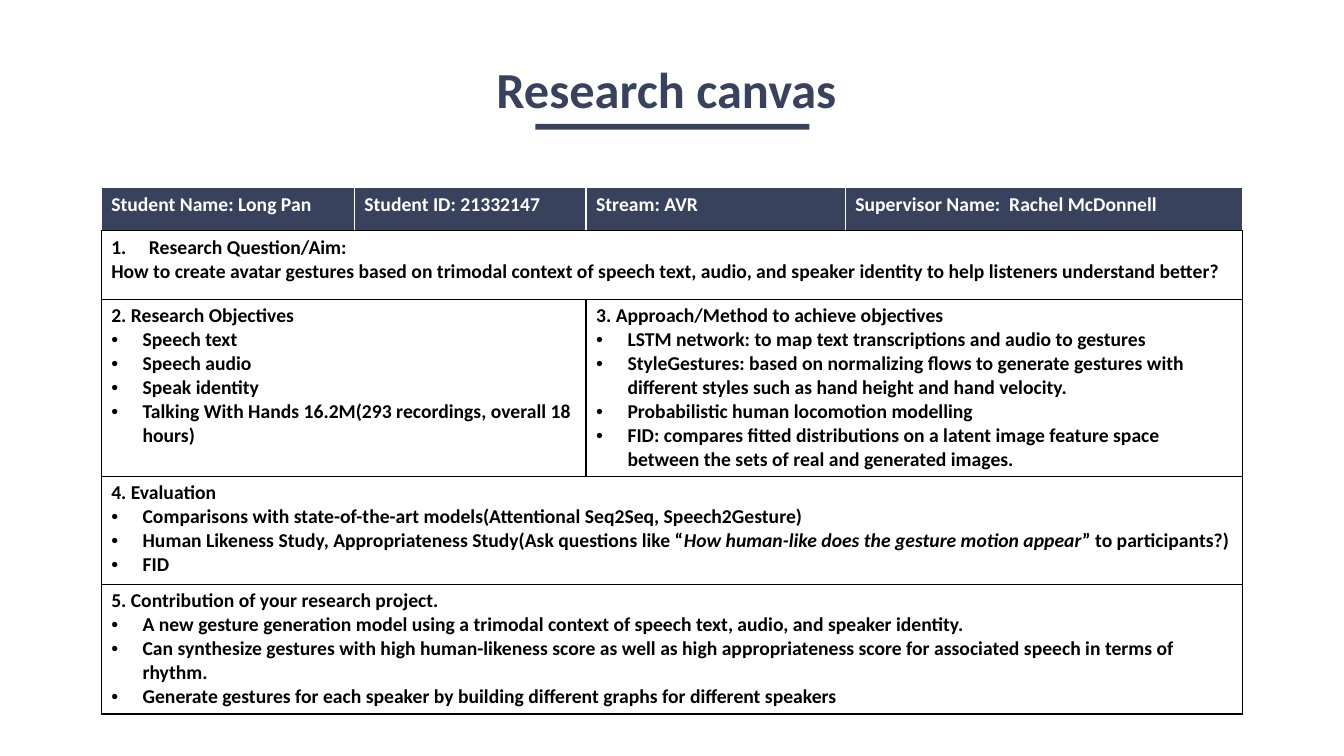
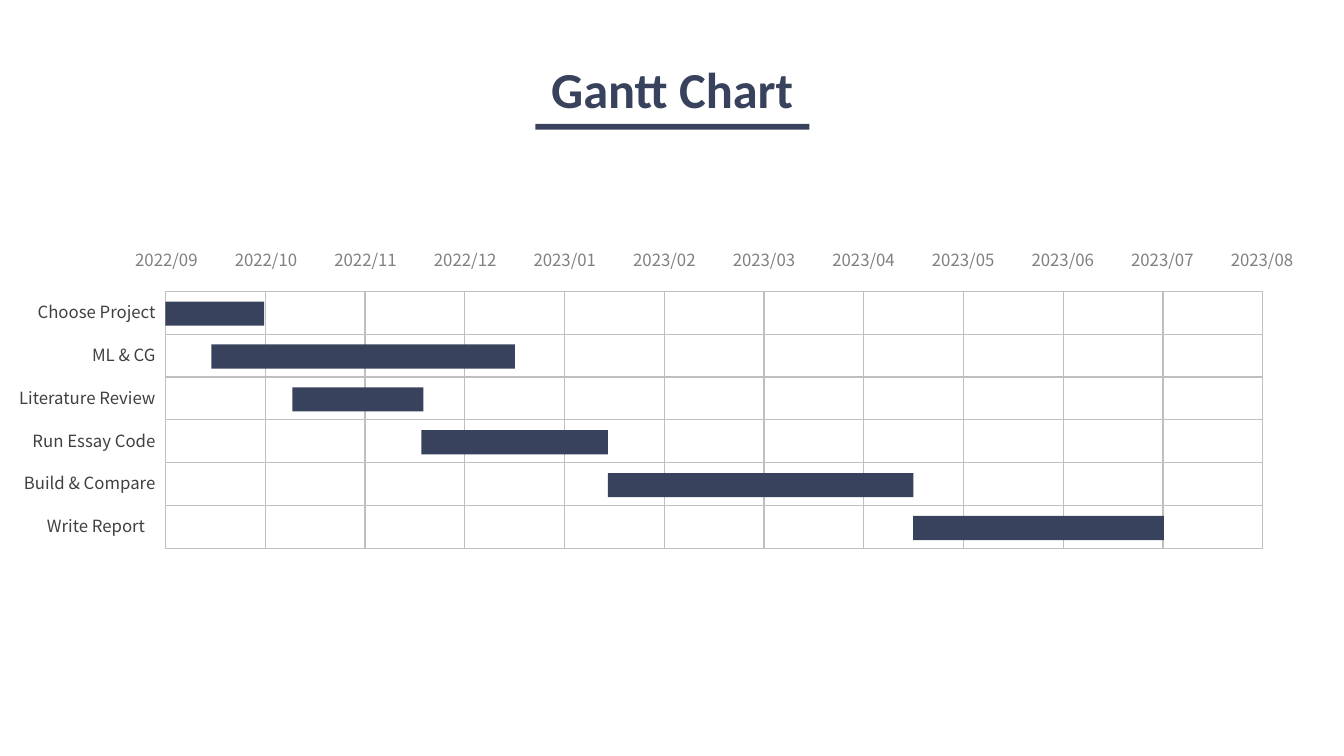
"""Build a research canvas slide and a Gantt chart slide."""
from dataclasses import dataclass
from typing import Optional

from lxml import etree
from pptx import Presentation
from pptx.dml.color import RGBColor
from pptx.enum.shapes import MSO_SHAPE
from pptx.enum.text import PP_ALIGN
from pptx.oxml.ns import qn
from pptx.slide import Slide
from pptx.table import Table, _Cell
from pptx.text.text import _Paragraph
from pptx.util import Cm, Pt

RECTANGLE = MSO_SHAPE.RECTANGLE
LEFT, CENTER, RIGHT = PP_ALIGN.LEFT, PP_ALIGN.CENTER, PP_ALIGN.RIGHT


@dataclass(frozen=True)
class TextStyle:
    font: str
    size: int
    color: str
    bold: bool = False


@dataclass(frozen=True)
class Theme:
    navy: str = "39425D"
    white: str = "FFFFFF"
    black: str = "000000"
    grid: str = "BFBFBF"
    title: TextStyle = TextStyle("Calibri", 36, "39425D", True)
    header: TextStyle = TextStyle("Calibri", 14, "FFFFFF", True)
    body: TextStyle = TextStyle("Calibri", 14, "000000", True)
    task: TextStyle = TextStyle("Noto Sans CJK SC", 12, "404040")
    month: TextStyle = TextStyle("Noto Sans CJK SC", 12, "808080")


@dataclass(frozen=True)
class Box:
    left: float
    top: float
    width: float
    height: float


@dataclass(frozen=True)
class Line:
    text: str
    marker: str = ""
    italic: str = ""
    tail: str = ""


@dataclass(frozen=True)
class Section:
    row: int
    first_column: int
    last_column: int
    lines: tuple[Line, ...]


@dataclass(frozen=True)
class Task:
    name: str
    start: float
    length: float
    label_right: float = 4.17


THEME = Theme()
BULLET, NUMBER = "•", "1."
INDENTS = {BULLET: 0.79, NUMBER: 0.95}

CANVAS_COLUMNS = (6.38, 5.84, 6.53, 10.01)
CANVAS_ROWS = (1.08, 1.73, 4.46, 2.72, 3.27)
CANVAS_HEADERS = (
    "Student Name: Long Pan",
    "Student ID: 21332147",
    "Stream: AVR",
    "Supervisor Name:  Rachel McDonnell",
)
SECTIONS = (
    Section(1, 0, 3, (
        Line("Research Question/Aim:", NUMBER),
        Line("How to create avatar gestures based on trimodal context of speech text, audio, "
             "and speaker identity to help listeners understand better?"),
    )),
    Section(2, 0, 1, (
        Line("2. Research Objectives"),
        Line("Speech text", BULLET),
        Line("Speech audio", BULLET),
        Line("Speak identity", BULLET),
        Line("Talking With Hands 16.2M(293 recordings, overall 18 hours)", BULLET),
    )),
    Section(2, 2, 3, (
        Line("3. Approach/Method to achieve objectives"),
        Line("LSTM network: to map text transcriptions and audio to gestures", BULLET),
        Line("StyleGestures: based on normalizing flows to generate gestures with different "
             "styles such as hand height and hand velocity.", BULLET),
        Line("Probabilistic human locomotion modelling", BULLET),
        Line("FID: compares fitted distributions on a latent image feature space between "
             "the sets of real and generated images.", BULLET),
    )),
    Section(3, 0, 3, (
        Line("4. Evaluation"),
        Line("Comparisons with state-of-the-art models(Attentional Seq2Seq, Speech2Gesture)",
             BULLET),
        Line("Human Likeness Study, Appropriateness Study(Ask questions like “", BULLET,
             "How human-like does the gesture motion appear", "” to participants?)"),
        Line("FID", BULLET),
    )),
    Section(4, 0, 3, (
        Line("5. Contribution of your research project."),
        Line("A new gesture generation model using a trimodal context of speech text, audio, "
             "and speaker identity.", BULLET),
        Line("Can synthesize gestures with high human-likeness score as well as high "
             "appropriateness score for associated speech in terms of rhythm.", BULLET),
        Line("Generate gestures for each speaker by building different graphs for different "
             "speakers", BULLET),
    )),
)

GANTT_LEFT, GANTT_TOP = 4.17, 7.34
GANTT_WIDTH, GANTT_ROW = 27.66, 1.08
MONTH_LEFT, MONTH_STEP = 2.94, 2.51
FIRST_YEAR, FIRST_MONTH, MONTH_COUNT = 2022, 9, 12
TASKS = (
    Task("Choose Project", 4.17, 2.49),
    Task("ML & CG", 5.33, 7.65),
    Task("Literature Review", 7.37, 3.3),
    Task("Run Essay Code", 10.62, 4.7),
    Task("Build & Compare", 15.32, 7.7),
    Task("Write Report", 23.01, 6.32, 3.91),
)


def style_paragraph(paragraph: _Paragraph, style: TextStyle, alignment: PP_ALIGN = LEFT) -> None:
    paragraph.alignment = alignment
    font = paragraph.font
    font.name = style.font
    font.size = Pt(style.size)
    font.bold = style.bold
    font.color.rgb = RGBColor.from_string(style.color)


def add_text(slide: Slide, box: Box, text: str, style: TextStyle, alignment: PP_ALIGN) -> None:
    shape = slide.shapes.add_textbox(Cm(box.left), Cm(box.top), Cm(box.width), Cm(box.height))
    shape.text_frame.word_wrap = True
    paragraph = shape.text_frame.paragraphs[0]
    paragraph.text = text
    style_paragraph(paragraph, style, alignment)


def add_bar(slide: Slide, box: Box) -> None:
    shape = slide.shapes.add_shape(
        RECTANGLE, Cm(box.left), Cm(box.top), Cm(box.width), Cm(box.height))
    shape.shadow.inherit = False
    shape.fill.solid()
    shape.fill.fore_color.rgb = RGBColor.from_string(THEME.navy)
    shape.line.fill.background()


def add_title(slide: Slide, text: str) -> None:
    add_bar(slide, Box(13.49, 3.12, 6.91, 0.15))
    add_text(slide, Box(9.5, 1.35, 14.88, 1.8), text, THEME.title, CENTER)


def style_cell(cell: _Cell, border: str, bottom: str, fill: Optional[str] = None) -> None:
    properties = cell._tc.get_or_add_tcPr()
    for side, color in (("L", border), ("R", border), ("T", border), ("B", bottom)):
        line = etree.SubElement(properties, qn(f"a:ln{side}"), w=str(Pt(1)))
        solid = etree.SubElement(line, qn("a:solidFill"))
        etree.SubElement(solid, qn("a:srgbClr"), val=color)
    if fill:
        cell.fill.solid()
        cell.fill.fore_color.rgb = RGBColor.from_string(fill)
    else:
        cell.fill.background()


def add_grid(slide: Slide, left: float, top: float, columns: tuple[float, ...],
             rows: tuple[float, ...]) -> Table:
    table = slide.shapes.add_table(
        len(rows), len(columns), Cm(left), Cm(top), Cm(sum(columns)), Cm(sum(rows))).table
    table.first_row = False
    table.horz_banding = False
    for column, width in zip(table.columns, columns):
        column.width = Cm(width)
    for row, height in zip(table.rows, rows):
        row.height = Cm(height)
    return table


def add_marker(paragraph: _Paragraph, marker: str) -> None:
    properties = paragraph._p.get_or_add_pPr()
    indent = Cm(INDENTS[marker])
    properties.set("marL", str(indent))
    properties.set("indent", str(-indent))
    if marker == NUMBER:
        symbol = etree.Element(qn("a:buAutoNum"), type="arabicPeriod")
    else:
        symbol = etree.Element(qn("a:buChar"), char=marker)
        properties.insert(0, etree.Element(qn("a:buFont"), typeface="Arial"))
    properties.insert(len(properties) - 1, symbol)


def write_lines(cell: _Cell, lines: tuple[Line, ...]) -> None:
    frame = cell.text_frame
    for index, line in enumerate(lines):
        paragraph = frame.add_paragraph() if index else frame.paragraphs[0]
        paragraph.add_run().text = line.text
        if line.italic:
            quote = paragraph.add_run()
            quote.text = line.italic
            quote.font.italic = True
            paragraph.add_run().text = line.tail
        style_paragraph(paragraph, THEME.body)
        if line.marker:
            add_marker(paragraph, line.marker)


def build_canvas(slide: Slide) -> None:
    table = add_grid(slide, 2.55, 4.73, CANVAS_COLUMNS, CANVAS_ROWS)
    for cell in table.iter_cells():
        style_cell(cell, THEME.black, THEME.black) if cell._tc.row_idx else style_cell(
            cell, THEME.white, THEME.black, THEME.navy)
    for column, header in enumerate(CANVAS_HEADERS):
        paragraph = table.cell(0, column).text_frame.paragraphs[0]
        paragraph.text = header
        style_paragraph(paragraph, THEME.header)
    for section in SECTIONS:
        cell = table.cell(section.row, section.first_column)
        cell.merge(table.cell(section.row, section.last_column))
        write_lines(cell, section.lines)
    add_title(slide, "Research canvas ")


def build_gantt(slide: Slide) -> None:
    column_count = MONTH_COUNT - 1
    table = add_grid(slide, GANTT_LEFT, GANTT_TOP,
                     (GANTT_WIDTH / column_count,) * column_count, (GANTT_ROW,) * len(TASKS))
    for cell in table.iter_cells():
        style_cell(cell, THEME.grid, THEME.grid)
    for index in range(MONTH_COUNT):
        years, month = divmod(FIRST_MONTH - 1 + index, 12)
        add_text(slide, Box(MONTH_LEFT + index * MONTH_STEP, 6.17, MONTH_STEP, 0.77),
                 f"{FIRST_YEAR + years}/{month + 1:02}", THEME.month, CENTER)
    for index, task in enumerate(TASKS):
        top = GANTT_TOP + index * GANTT_ROW
        add_text(slide, Box(0, top + 0.14, task.label_right, 0.77), task.name, THEME.task, RIGHT)
        add_bar(slide, Box(task.start, top + 0.26, task.length, 0.61))
    add_title(slide, "Gantt Chart")


def main() -> None:
    presentation = Presentation()
    presentation.slide_width = Cm(33.87)
    presentation.slide_height = Cm(19.05)
    blank = presentation.slide_layouts[6]
    for build in (build_canvas, build_gantt):
        build(presentation.slides.add_slide(blank))
    presentation.save("out.pptx")


if __name__ == "__main__":
    main()
